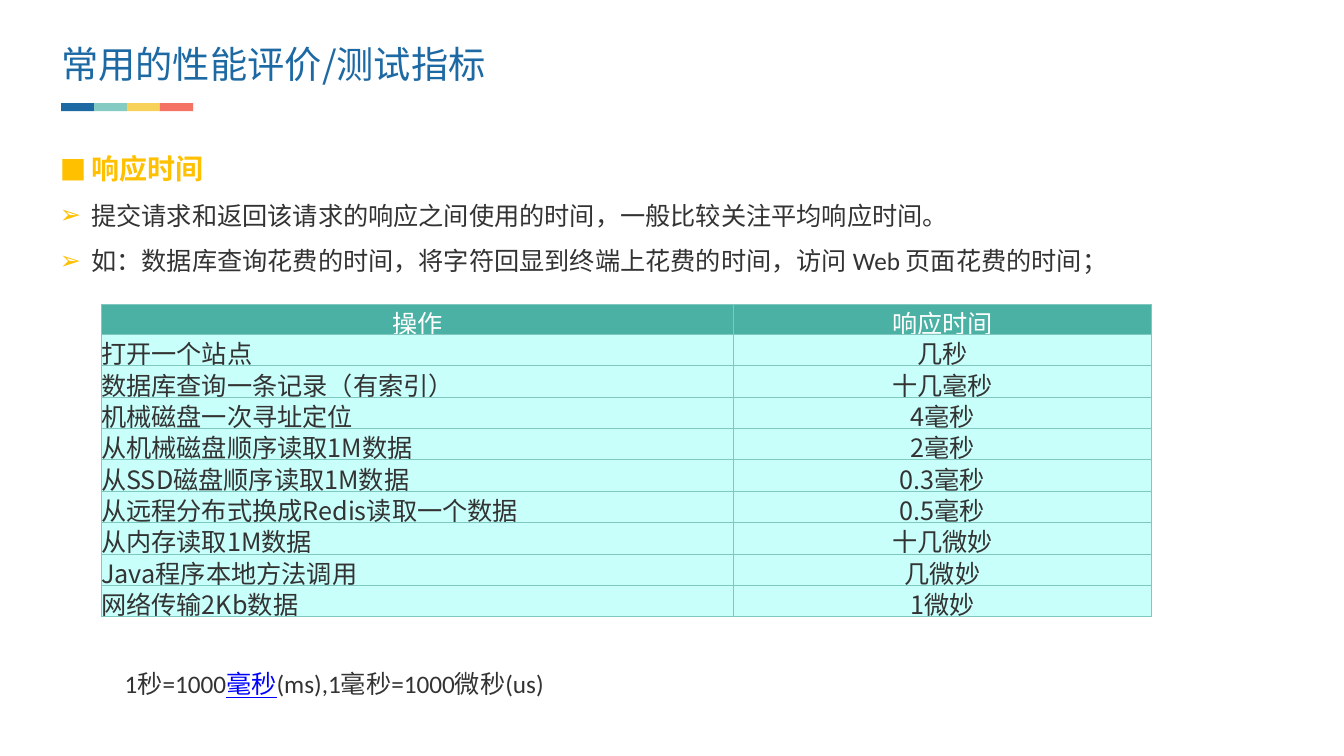
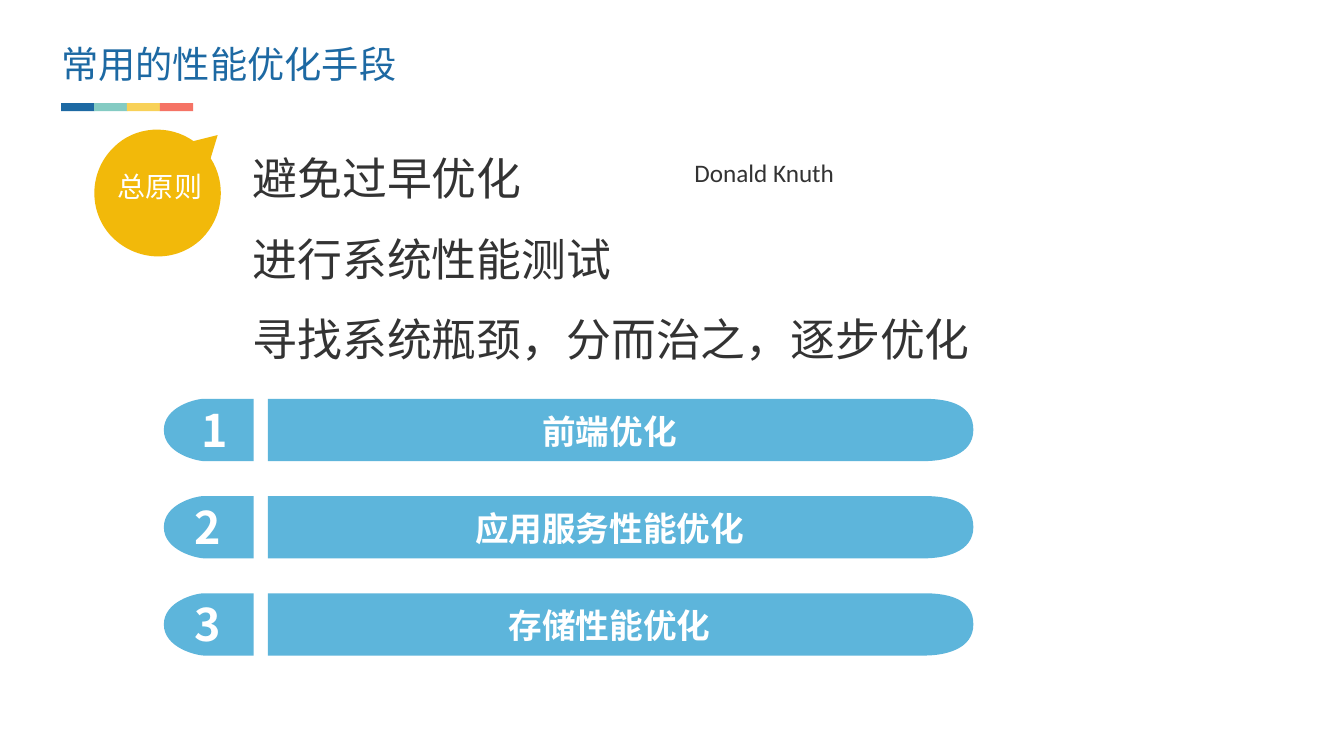
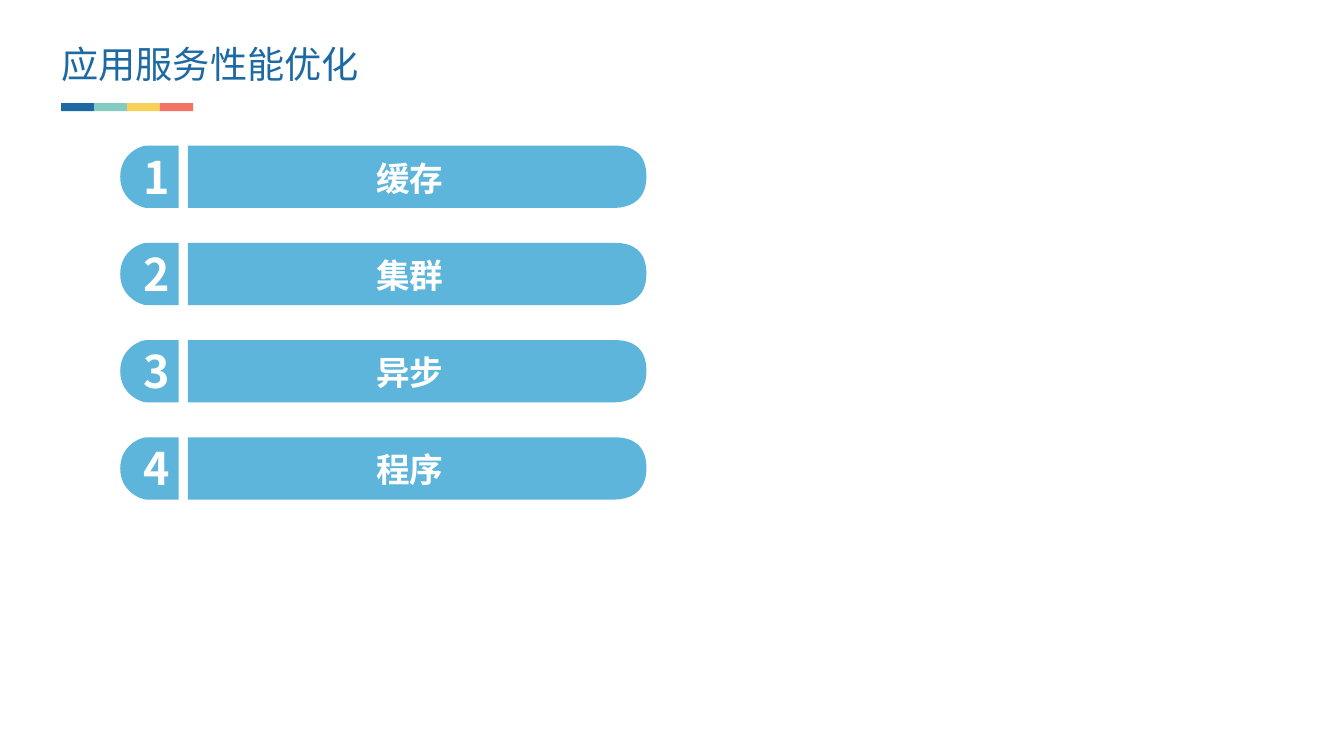
from dataclasses import dataclass

from lxml import etree
from pptx import Presentation
from pptx.dml.color import RGBColor
from pptx.enum.shapes import MSO_SHAPE
from pptx.enum.text import MSO_ANCHOR, MSO_AUTO_SIZE, PP_ALIGN
from pptx.oxml.ns import qn
from pptx.util import Cm, Pt

RECTANGLE = MSO_SHAPE.RECTANGLE
TOP, MIDDLE = MSO_ANCHOR.TOP, MSO_ANCHOR.MIDDLE
LEFT, CENTER = PP_ALIGN.LEFT, PP_ALIGN.CENTER
NO_AUTOFIT = MSO_AUTO_SIZE.NONE

COLORS = {
    "title": "1D69A3",
    "teal": "84CBC3",
    "yellow": "F8D158",
    "coral": "F57365",
    "text": "333333",
    "white": "FFFFFF",
    "accent": "FFC000",
    "link": "0000FF",
    "table_head": "4BB1A5",
    "table_body": "C8FFFA",
    "table_border": "7FC8C0",
    "pill": "5DB5DB",
    "callout": "F2B90A",
}
SANS = "Noto Sans CJK SC"
CALIBRI = "Calibri"
TITLE_ONLY = 5

Point = tuple[float, float]
Segment = tuple[Point, ...]


@dataclass(frozen=True)
class Outline:
    start: Point
    segments: tuple[Segment, ...]


@dataclass(frozen=True)
class Bullet:
    mark: str
    text: str
    size: float
    color: str
    bold: bool


@dataclass(frozen=True)
class PillColumn:
    left: float
    top: float
    scale: float
    labels: tuple[str, ...]
    number_centers: tuple[float, ...]


CAP = Outline((1, 0), (
    ((1, 0.5), (1, 1), (1, 1)),
    ((0.45, 1),),
    ((0.37, 1), (0, 0.88), (0, 0.5)),
    ((0, 0.13), (0.35, 0), (0.45, 0)),
    ((1, 0),),
))
BAR = Outline((0, 0), (
    ((0, 1),),
    ((0.03, 1), (0.91, 1), (0.93, 1)),
    ((0.96, 1), (1, 0.9), (1, 0.5)),
    ((1, 0.12), (0.97, 0), (0.93, 0)),
    ((0.91, 0), (0.03, 0), (0, 0)),
))
CALLOUT = Outline((2.16, 1.34), (
    ((2.09, 1.57),),
    ((2.25, 1.82), (2.22, 2.15), (2, 2.37)),
    ((1.75, 2.61), (1.36, 2.6), (1.11, 2.35)),
    ((0.87, 2.1), (0.88, 1.7), (1.13, 1.46)),
    ((1.34, 1.25), (1.68, 1.23), (1.92, 1.4)),
))

PILL_HEIGHT, PILL_PITCH = 1.57, 2.45
CAP_WIDTH, BAR_OFFSET, BAR_WIDTH = 2.26, 2.62, 17.78
LABEL_CENTER, LABEL_WIDTH = 11.23, 16.92
NUMBER_WIDTH = 1.6

BULLETS = (
    Bullet("■", "响应时间", 20, "accent", True),
    Bullet("➢", "提交请求和返回该请求的响应之间使用的时间，一般比较关注平均响应时间。", 18, "text", False),
    Bullet("➢", "如：数据库查询花费的时间，将字符回显到终端上花费的时间，访问 Web 页面花费的时间；", 18, "text", False),
)
RESPONSE_TIMES = (
    ("操作", "响应时间"),
    ("打开一个站点", "几秒"),
    ("数据库查询一条记录（有索引）", "十几毫秒"),
    ("机械磁盘一次寻址定位", "4毫秒"),
    ("从机械磁盘顺序读取1M数据", "2毫秒"),
    ("从SSD磁盘顺序读取1M数据", "0.3毫秒"),
    ("从远程分布式换成Redis读取一个数据", "0.5毫秒"),
    ("从内存读取1M数据", "十几微妙"),
    ("Java程序本地方法调用", "几微妙"),
    ("网络传输2Kb数据", "1微妙"),
)
PRINCIPLES = ("避免过早优化", "进行系统性能测试", "寻找系统瓶颈，分而治之，逐步优化")


def rgb(color: str) -> RGBColor:
    return RGBColor.from_string(COLORS[color])


def write_span(para, text: str, *, size: float, color: str = "text", font: str = SANS,
               bold: bool = False, underline: bool = False) -> None:
    span = para.add_run()
    span.text = text
    span.font.size = Pt(size)
    span.font.bold = bold
    span.font.underline = underline
    span.font.color.rgb = rgb(color)
    span.font.name = font
    latin = span.font._element.find(qn("a:latin"))
    east_asian = etree.Element(qn("a:ea"))
    east_asian.set("typeface", SANS)
    latin.addnext(east_asian)


def set_frame(frame, *, anchor=TOP, inset: bool = True, wrap: bool = True) -> None:
    frame.auto_size = NO_AUTOFIT
    frame.word_wrap = wrap
    frame.vertical_anchor = anchor
    frame.margin_left = frame.margin_right = Cm(0.25 if inset else 0)
    frame.margin_top = frame.margin_bottom = Cm(0.13 if inset else 0)


def add_box(page, left: float, top: float, width: float, height: float, **frame_format):
    box = page.shapes.add_textbox(Cm(left), Cm(top), Cm(width), Cm(height))
    set_frame(box.text_frame, **frame_format)
    return box.text_frame


def write_centered(frame, text: str, **span_format) -> None:
    para = frame.paragraphs[0]
    para.alignment = CENTER
    write_span(para, text, color="white", **span_format)


def add_centered(page, center: float, top: float, width: float, height: float,
                 text: str, **span_format) -> None:
    frame = add_box(page, center - width / 2, top, width, height, anchor=MIDDLE, inset=False)
    write_centered(frame, text, **span_format)


def next_paragraph(frame, index: int):
    return frame.add_paragraph() if index else frame.paragraphs[0]


def set_bullet(para, mark: str) -> None:
    properties = para._p.get_or_add_pPr()
    properties.set("marL", str(Cm(0.79)))
    properties.set("indent", str(-Cm(0.79)))
    tint = etree.SubElement(properties, qn("a:buClr"))
    etree.SubElement(tint, qn("a:srgbClr")).set("val", COLORS["accent"])
    etree.SubElement(properties, qn("a:buFont")).set("typeface", CALIBRI)
    etree.SubElement(properties, qn("a:buChar")).set("char", mark)


def paint(shape, color: str) -> None:
    shape.shadow.inherit = False
    shape.fill.solid()
    shape.fill.fore_color.rgb = rgb(color)
    shape.line.fill.background()


def bend(shape, segments: tuple[Segment, ...]) -> None:
    lines = iter(list(shape._element.iter(qn("a:lnTo"))))
    for segment in segments:
        sides = [next(lines) for _ in segment]
        if len(sides) == 3:
            curve = etree.Element(qn("a:cubicBezTo"))
            sides[0].addprevious(curve)
            for side in sides:
                curve.append(side[0])
                side.getparent().remove(side)


def add_outline(page, outline: Outline, left: float, top: float,
                width: float, height: float, color: str) -> None:
    points = [outline.start] + [point for segment in outline.segments for point in segment]
    places = [(Cm(left + x * width), Cm(top + y * height)) for x, y in points]
    builder = page.shapes.build_freeform(*places[0])
    builder.add_line_segments(places[1:], close=True)
    shape = builder.convert_to_shape()
    bend(shape, outline.segments)
    paint(shape, color)


def add_rectangle(page, left: float, top: float, width: float, height: float, color: str):
    shape = page.shapes.add_shape(RECTANGLE, Cm(left), Cm(top), Cm(width), Cm(height))
    paint(shape, color)
    return shape


def add_page(deck, title: str):
    page = deck.slides.add_slide(deck.slide_layouts[TITLE_ONLY])
    for index, color in enumerate(("title", "teal", "yellow", "coral")):
        add_rectangle(page, 1.54 + index * 0.83, 2.6, 0.84, 0.2, color)
    heading = page.shapes.title
    heading.left, heading.top, heading.width, heading.height = Cm(1.54), Cm(1.04), Cm(15.27), Cm(1.14)
    set_frame(heading.text_frame, inset=False)
    para = heading.text_frame.paragraphs[0]
    para.alignment = LEFT
    write_span(para, title, size=26.6, color="title")
    return page


def add_pills(page, column: PillColumn) -> None:
    scale = column.scale
    for index, (label, center) in enumerate(zip(column.labels, column.number_centers)):
        top = column.top + index * PILL_PITCH
        add_outline(page, CAP, column.left, top, CAP_WIDTH * scale, PILL_HEIGHT, "pill")
        add_outline(page, BAR, column.left + BAR_OFFSET * scale, top,
                    BAR_WIDTH * scale, PILL_HEIGHT, "pill")
        add_centered(page, column.left + LABEL_CENTER * scale, top + 0.17, LABEL_WIDTH * scale,
                     1.27, label, size=24, bold=True)
        add_centered(page, column.left + center, top - 0.04, NUMBER_WIDTH, 1.62,
                     str(index + 1), size=32, bold=True)


def set_borders(cell) -> None:
    properties = cell._tc.get_or_add_tcPr()
    for index, side in enumerate(("lnL", "lnR", "lnT", "lnB")):
        line = etree.Element(qn(f"a:{side}"))
        line.set("w", str(Pt(0.75)))
        fill = etree.SubElement(line, qn("a:solidFill"))
        etree.SubElement(fill, qn("a:srgbClr")).set("val", COLORS["table_border"])
        properties.insert(index, line)


def add_response_table(page) -> None:
    table = page.shapes.add_table(len(RESPONSE_TIMES), 2, Cm(2.55), Cm(7.67), Cm(26.47), Cm(7.91)).table
    table.first_row = False
    table.horz_banding = False
    table.columns[0].width, table.columns[1].width = Cm(15.93), Cm(10.54)
    for row_index, texts in enumerate(RESPONSE_TIMES):
        head = row_index == 0
        table.rows[row_index].height = Cm(0.76 if head else 0.79)
        for column_index, text in enumerate(texts):
            cell = table.cell(row_index, column_index)
            cell.margin_left = cell.margin_right = cell.margin_top = 0
            cell.margin_bottom = Cm(-0.17)
            cell.fill.solid()
            cell.fill.fore_color.rgb = rgb("table_head" if head else "table_body")
            set_borders(cell)
            para = cell.text_frame.paragraphs[0]
            para.alignment = CENTER if head or column_index else LEFT
            write_span(para, text, size=18, color="white" if head else "text",
                       font=CALIBRI if head else SANS)


def build_metrics(deck) -> None:
    page = add_page(deck, "常用的性能评价/测试指标")
    frame = add_box(page, 1.26, 3.26, 32.13, 3.84)
    for index, bullet in enumerate(BULLETS):
        para = next_paragraph(frame, index)
        set_bullet(para, bullet.mark)
        para.line_spacing = 1.5
        write_span(para, bullet.text, size=bullet.size, color=bullet.color,
                   font=CALIBRI, bold=bullet.bold)
    add_response_table(page)
    units = add_box(page, 2.89, 16.71, 14.94, 1.02).paragraphs[0]
    write_span(units, "1秒=1000", size=18, font=CALIBRI)
    write_span(units, "毫秒", size=18, font=CALIBRI, color="link", underline=True)
    write_span(units, "(ms),1毫秒=1000微秒(us)", size=18, font=CALIBRI)


def build_methods(deck) -> None:
    page = add_page(deck, "常用的性能优化手段")
    add_pills(page, PillColumn(4.13, 10.05, 1, ("前端优化", "应用服务性能优化", "存储性能优化"),
                               (1.27, 1.1, 1.1)))
    frame = add_box(page, 6.12, 2.99, 19.25, 6.4)
    for index, principle in enumerate(PRINCIPLES):
        para = next_paragraph(frame, index)
        para.line_spacing = 1.5
        write_span(para, principle, size=32)
    add_outline(page, CALLOUT, 0, 0, 2.54, 2.54, "callout")
    badge = add_rectangle(page, 3.07, 4.14, 1.93, 1.12, "callout").text_frame
    set_frame(badge, anchor=MIDDLE, wrap=False)
    write_centered(badge, "总原则", size=20)
    author = add_box(page, 17.25, 3.84, 4.09, 1.02, wrap=False).paragraphs[0]
    write_span(author, "Donald Knuth", size=18, font=CALIBRI)


def build_services(deck) -> None:
    page = add_page(deck, "应用服务性能优化")
    add_pills(page, PillColumn(3.03, 3.67, 0.65, ("缓存", "集群", "异步", "程序"), (0.91,) * 4))


def main() -> None:
    deck = Presentation()
    deck.slide_width, deck.slide_height = Cm(33.87), Cm(19.05)
    build_metrics(deck)
    build_methods(deck)
    build_services(deck)
    deck.save("out.pptx")


if __name__ == "__main__":
    main()
